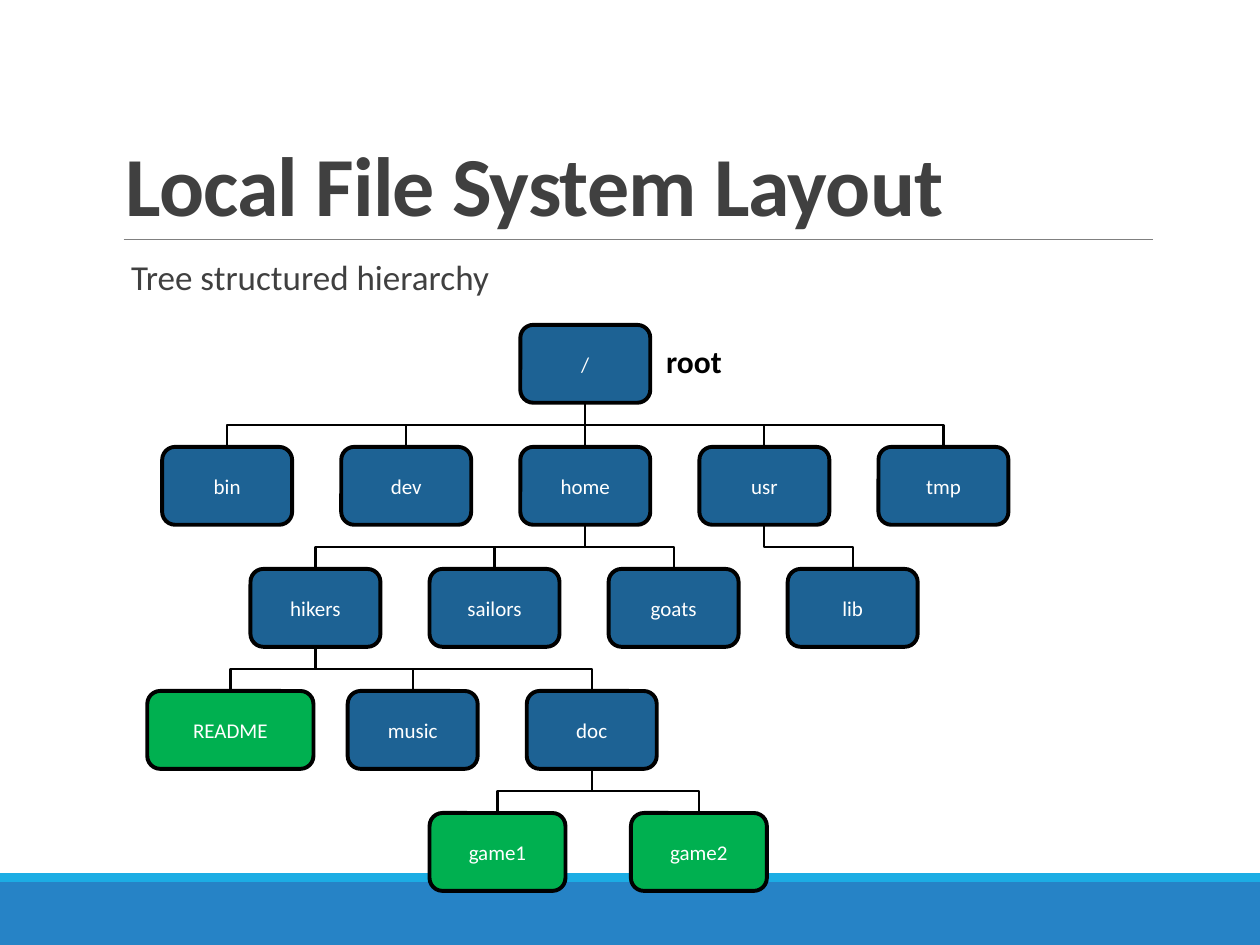
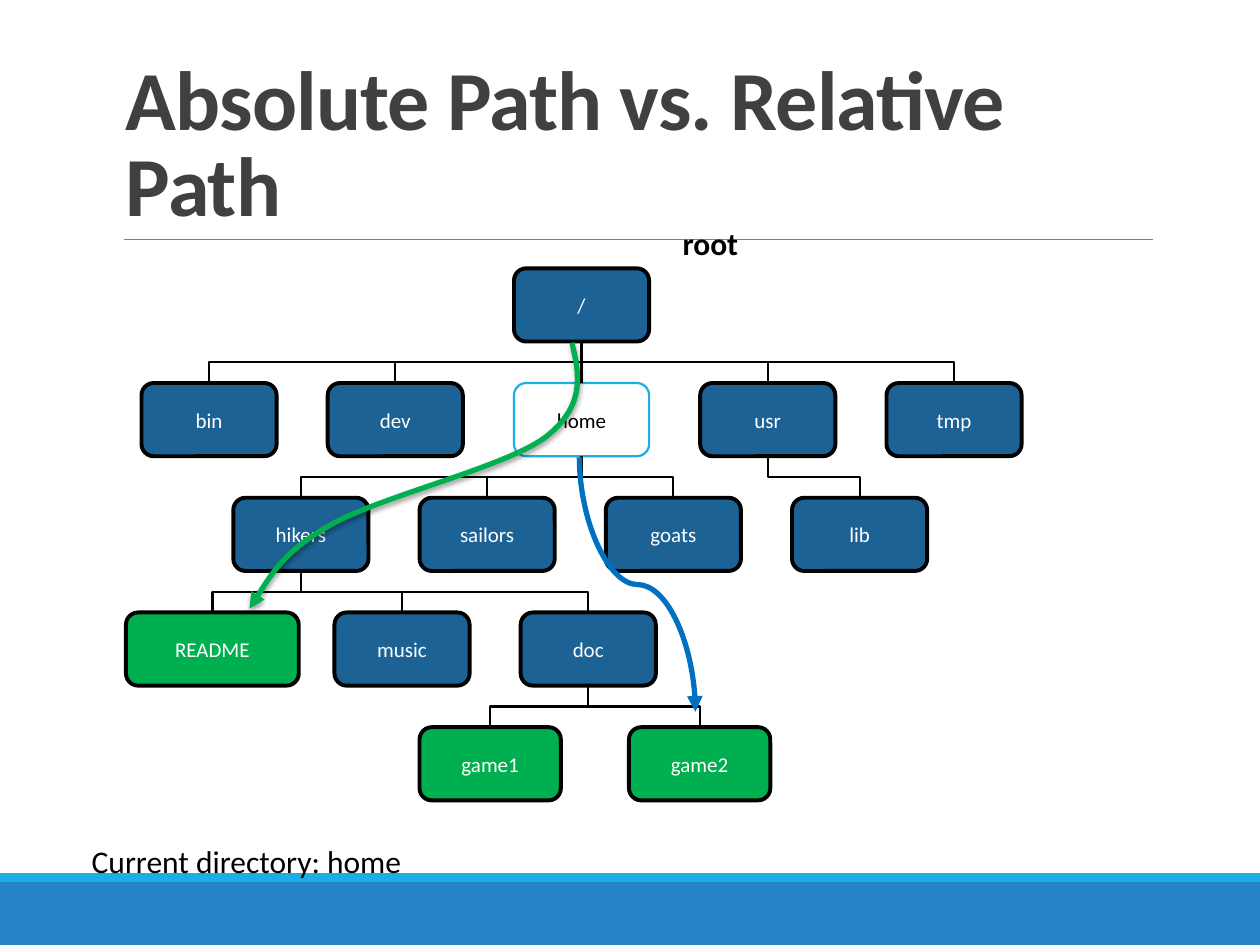
from lxml import etree
from pptx import Presentation
from pptx.dml.color import RGBColor
from pptx.enum.shapes import MSO_CONNECTOR as Link, MSO_SHAPE as Preset
from pptx.enum.text import MSO_ANCHOR as Anchor, PP_ALIGN as Align
from pptx.oxml.ns import qn
from pptx.util import Cm, Pt

FONT = "Calibri"
COLORS = {
    "band": "2683C6", "accent": "1CADE4", "rule": "808080", "heading": "404040",
    "folder": "1D6294", "file": "00B050", "relative": "0070C0",
    "black": "000000", "white": "FFFFFF",
}
# style: (fill, outline, outline points, text)
NODE_STYLES = {
    "folder": ("folder", "black", 2.25, "white"),
    "file": ("file", "black", 2.25, "white"),
    "current": ("white", "accent", 1.25, "black"),
}

# Tree on its base grid, in cm: (row, first left, box width, style, [(name, parent)])
COLUMN_PITCH, ROW_PITCH, BOX_WIDTH, BOX_HEIGHT = 3.61, 2.46, 2.62, 1.57
TREE = [
    (0, 7.52, BOX_WIDTH, "folder", [("/", None)]),
    (1, 0.3, BOX_WIDTH, "folder",
     [("bin", "/"), ("dev", "/"), ("home", "/"), ("usr", "/"), ("tmp", "/")]),
    (2, 2.08, BOX_WIDTH, "folder",
     [("hikers", "home"), ("sailors", "home"), ("goats", "home"), ("lib", "usr")]),
    (3, 0, 3.35, "file", [("README", "hikers")]),
    (3, 4.04, BOX_WIDTH, "folder", [("music", "hikers"), ("doc", "hikers")]),
    (4, 5.69, 2.74, "file", [("game1", "doc")]),
    (4, 9.75, 2.74, "file", [("game2", "doc")]),
]

# Labels: (text, left, top, width, bold); tree: (left, top, x scale, y scale)
SLIDES = [
    {"title": "Local File System Layout", "body": "Tree structured hierarchy",
     "tree": (2.97, 6.55, 1, 1), "current": None,
     "labels": [("root", 13.18, 6.78, 1.7, True)]},
    {"title": "Absolute Path vs. Relative Path", "body": None,
     "tree": (2.54, 5.41, 1.04, 0.94), "current": "home",
     "labels": [("root", 13.51, 4.39, 1.7, True),
                ("Current directory: home", 1.6, 16.84, 6.83, False)]},
]

# Start point, then two control points and an end point for each bend
ABSOLUTE_ROUTE = [
    (11.53, 6.91),
    (11.68, 7.54), (11.81, 8.18), (11.0, 8.81),
    (10.19, 9.42), (7.65, 10.01), (6.65, 10.59),
    (5.66, 11.15), (5.03, 12.27), (5.03, 12.27),
]
RELATIVE_ROUTE = [(11.68, 9.22), (14.02, 14.35)]


def rgb(name):
    return RGBColor.from_string(COLORS[name])


def add_child(parent, tag, **attributes):
    return etree.SubElement(parent, qn(tag), attributes)


def style_line(shape, color, width, arrow=False):
    shape.line.color.rgb = rgb(color)
    shape.line.width = Pt(width)
    if arrow:
        add_child(shape._element.spPr.find(qn("a:ln")), "a:tailEnd", type="triangle")


def add_box(slide, preset, left, top, width, height, fill):
    shape = slide.shapes.add_shape(preset, Cm(left), Cm(top), Cm(width), Cm(height))
    shape.shadow.inherit = False
    shape.fill.solid()
    shape.fill.fore_color.rgb = rgb(fill)
    shape.line.fill.background()
    return shape


def add_link(slide, kind, start, end, color, width, arrow=False):
    link = slide.shapes.add_connector(kind, *(Cm(value) for value in (*start, *end)))
    style_line(link, color, width, arrow)
    add_child(link._element.spPr, "a:effectLst")
    return link


def add_downward_link(slide, kind, start, end, color, width, arrow=False):
    """Leave and arrive vertically, by turning a sideways connector on its side."""
    (x1, y1), (x2, y2) = start, end
    middle_x, middle_y = (x1 + x2) / 2, (y1 + y2) / 2
    half_width, half_height = (y2 - y1) / 2, abs(x2 - x1) / 2
    side = 1 if x2 > x1 else -1
    link = add_link(slide, kind,
                    (middle_x + side * half_width, middle_y - half_height),
                    (middle_x - side * half_width, middle_y + half_height),
                    color, width, arrow)
    turn = 270 if side == 1 else 90
    link._element.spPr.find(qn("a:xfrm")).set("rot", str(turn * 60000))


def write(shape, text, size, color, bold=False):
    shape.text_frame.word_wrap = True
    paragraph = shape.text_frame.paragraphs[0]
    run = paragraph.add_run()
    run.text = text
    run.font.name, run.font.size, run.font.bold = FONT, Pt(size), bold
    run.font.color.rgb = rgb(color)
    return paragraph


def add_text(slide, text, left, top, width, height, size, color, bold=False):
    box = slide.shapes.add_textbox(Cm(left), Cm(top), Cm(width), Cm(height))
    return box.text_frame, write(box, text, size, color, bold)


def add_frame(slide, title):
    """Footer bands, title and the rule beneath it."""
    add_box(slide, Preset.RECTANGLE, 0, 17.78, 25.4, 1.27, "band")
    add_box(slide, Preset.RECTANGLE, 0, 17.6, 25.4, 0.18, "accent")
    add_link(slide, Link.STRAIGHT, (2.49, 4.83), (23.24, 4.83), "rule", 0.5)
    frame, paragraph = add_text(slide, title, 2.29, 0.79, 20.95, 4.04, 48, "heading", True)
    frame.vertical_anchor = Anchor.BOTTOM
    paragraph.line_spacing = 0.85
    paragraph.runs[0].font._element.set("spc", "-50")


def add_body(slide, text):
    frame, paragraph = add_text(slide, text, 2.29, 5.13, 20.95, 11.18, 20, "heading")
    frame.margin_left = frame.margin_right = 0
    paragraph.line_spacing = 0.9
    paragraph.space_before, paragraph.space_after = Pt(12), Pt(2)
    properties = paragraph._p.get_or_add_pPr()
    properties.set("marL", str(Cm(0.25)))
    properties.set("indent", str(-Cm(0.25)))
    add_child(properties, "a:buChar", char=" ")


def add_tree(slide, area, current):
    left, top, scale_x, scale_y = area
    height = BOX_HEIGHT * scale_y
    nodes, links = {}, []
    for row, first_left, base_width, row_style, names in TREE:
        y, width = top + row * ROW_PITCH * scale_y, base_width * scale_x
        for column, (name, parent) in enumerate(names):
            x = left + (first_left + column * COLUMN_PITCH) * scale_x
            style = "current" if name == current else row_style
            fill, outline, line_width, text_color = NODE_STYLES[style]
            box = add_box(slide, Preset.ROUNDED_RECTANGLE, x, y, width, height, fill)
            style_line(box, outline, line_width)
            box.text_frame.vertical_anchor = Anchor.MIDDLE
            write(box, name, 12, text_color).alignment = Align.CENTER
            nodes[name] = (x + width / 2, y)
            if parent:
                links.append((parent, name))
    for parent, child in links:
        parent_x, parent_y = nodes[parent]
        add_downward_link(slide, Link.ELBOW, (parent_x, parent_y + height),
                          nodes[child], "black", 1.25)


def add_absolute_route(slide):
    start, *points = [(Cm(x), Cm(y)) for x, y in ABSOLUTE_ROUTE]
    builder = slide.shapes.build_freeform(*start)
    builder.add_line_segments(points, close=False)
    curve = builder.convert_to_shape()
    curve.fill.background()
    curve.shadow.inherit = False
    style_line(curve, "file", 3, arrow=True)

    properties = curve._element.spPr
    outline = properties.find(".//" + qn("a:path"))
    segments = outline.findall(qn("a:lnTo"))
    for first in range(0, len(segments), 3):
        bend = add_child(outline, "a:cubicBezTo")
        for segment in segments[first:first + 3]:
            bend.append(segment[0])
            outline.remove(segment)

    shadow = add_child(properties.find(qn("a:effectLst")), "a:outerShdw",
                       blurRad=str(Pt(3.1)), dist=str(Pt(1.6)), dir="5400000",
                       rotWithShape="0")
    color = add_child(shadow, "a:srgbClr", val=COLORS["black"])
    add_child(color, "a:alpha", val="38000")


def main():
    presentation = Presentation()
    presentation.slide_width, presentation.slide_height = Cm(25.4), Cm(19.05)
    for content in SLIDES:
        slide = presentation.slides.add_slide(presentation.slide_layouts[6])
        add_frame(slide, content["title"])
        if content["body"]:
            add_body(slide, content["body"])
        add_tree(slide, content["tree"], content["current"])
        for text, left, top, width, bold in content["labels"]:
            add_text(slide, text, left, top, width, 1.02, 18, "black", bold)
        if content["current"]:
            add_absolute_route(slide)
            add_downward_link(slide, Link.CURVE, *RELATIVE_ROUTE, "relative", 3, arrow=True)
    presentation.save("out.pptx")


if __name__ == "__main__":
    main()
